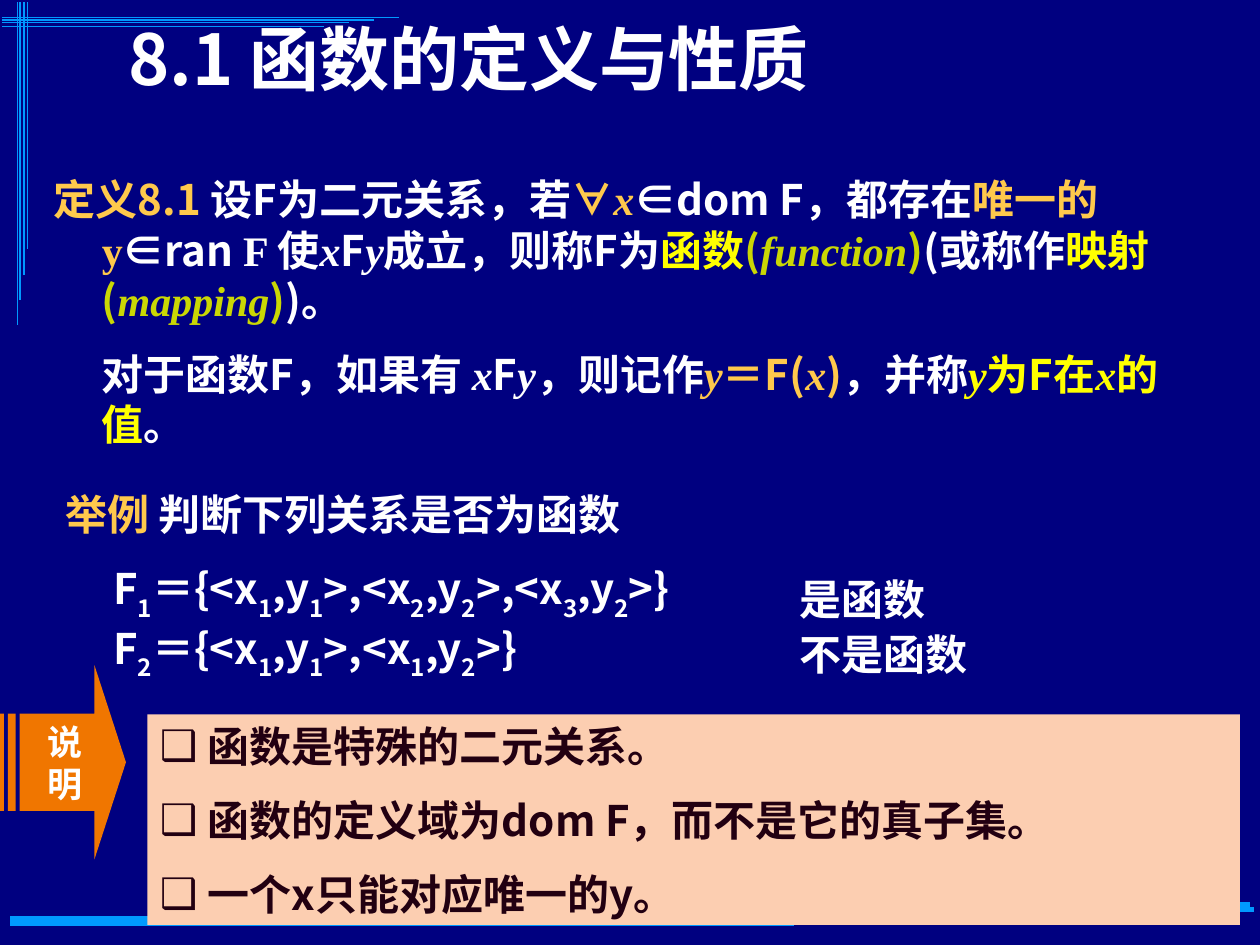
from typing import NamedTuple

from lxml import etree
from pptx import Presentation
from pptx import util as u
from pptx.dml.color import RGBColor
from pptx.enum import shapes, text
from pptx.oxml import parse_xml
from pptx.oxml.ns import nsdecls, qn

SANS, SERIF, ARIAL = "Noto Sans CJK SC", "Times New Roman", "Arial"
WHITE, GOLD, YELLOW, LIME = "FFFFFF", "FFC94C", "FFFF00", "CAD704"
NAVY, SKY, ORANGE, PEACH, PLUM = "000080", "0099FF", "F07600", "FCCEB1", "220011"
HANG = 0.38


class Run(NamedTuple):
    text: str
    color: str = WHITE
    font: str = SANS
    italic: bool = False
    sub: bool = False


class Para(NamedTuple):
    lines: list[list[Run]]
    size: float = 24
    before: float = 0
    left: float = 0
    first: float = 0
    bullet: str = ""
    align: text.PP_ALIGN = text.PP_ALIGN.LEFT


class Rule(NamedTuple):
    x1: float
    y1: float
    x2: float
    y2: float
    width: float


def paint(color_format, value: str) -> None:
    color_format.rgb = RGBColor.from_string(value)


def var(name: str, color: str = WHITE) -> Run:
    return Run(name, color, SERIF, True)


def relation(index: int, pairs: list[tuple[int, int]]) -> list[Run]:
    """F_index = {<x_i,y_j>, ...} with subscripts."""
    def sub(number: int) -> Run:
        return Run(str(number), sub=True)

    runs, lead = [Run("F"), sub(index)], "＝{<x"
    for i, j in pairs:
        runs += [Run(lead), sub(i), Run(",y"), sub(j)]
        lead = ">,<x"
    return runs + [Run(">}")]


def add_run(paragraph, item: Run, size: float) -> None:
    run = paragraph.add_run()
    run.text = item.text
    font = run.font
    font.size, font.bold, font.name = u.Pt(size), True, item.font
    if item.italic:
        font.italic = True
    paint(font.fill.solid() or font.fill.fore_color, item.color)
    props = run.font._element
    if item.sub:
        props.set("baseline", "-30000")
    east = etree.Element(qn("a:ea"), typeface=SANS)
    props.find(qn("a:latin")).addnext(east)


def write(shape, paras: list[Para], anchor=text.MSO_ANCHOR.TOP) -> None:
    frame = shape.text_frame
    frame.word_wrap, frame.vertical_anchor = True, anchor
    for number, para in enumerate(paras):
        paragraph = frame.add_paragraph() if number else frame.paragraphs[0]
        paragraph.alignment = para.align
        paragraph.space_before = u.Pt(para.before)
        props = paragraph._p.get_or_add_pPr()
        props.set("marL", str(u.Inches(para.left)))
        props.set("indent", str(u.Inches(para.first)))
        if para.bullet:
            etree.SubElement(props, qn("a:buFont"), typeface=ARIAL)
            etree.SubElement(props, qn("a:buChar"), char=para.bullet)
        for line_number, line in enumerate(para.lines):
            if line_number:
                paragraph.add_line_break()
            for item in line:
                add_run(paragraph, item, para.size)


def box(at: tuple[float, ...]):
    return slide.shapes.add_textbox(*map(u.Inches, at))


def solid(kind, at: tuple[float, ...], color: str):
    shape = slide.shapes.add_shape(kind, *map(u.Inches, at))
    shape.shadow.inherit = False
    shape.fill.solid()
    paint(shape.fill.fore_color, color)
    shape.line.fill.background()
    return shape


def draw_rule(rule: Rule) -> None:
    line = slide.shapes.add_connector(
        shapes.MSO_CONNECTOR.STRAIGHT, *map(u.Inches, rule[:4]))
    paint(line.line.color, SKY)
    line.line.width = u.Pt(rule.width)
    etree.SubElement(line._element.spPr, qn("a:effectLst"))


deck = Presentation()
deck.slide_width, deck.slide_height = u.Inches(10), u.Inches(7.5)
slide = deck.slides.add_slide(deck.slide_layouts[6])
slide.background.fill.solid()
paint(slide.background.fill.fore_color, NAVY)

# Decorative rules: bottom bands, then the top-left corner
rules = [Rule(0.08, y, 6.3, y, 3) for y in (7.29, 7.33)]
rules += [Rule(6.37, 7.18, 9.92, 7.18, 3), Rule(6.37, 7.22, 9.95, 7.22, 3)]
for step, (y, x) in enumerate(zip((0.14, 0.16, 0.18, 0.21), (0.14, 0.16, 0.19, 0.22))):
    rules.append(Rule(0.02, y, 3.17 - 0.2 * step, y, 0.75))
    rules.append(Rule(x, 0.02, x, 2.58 - 0.2 * step, 0.75))
for rule in rules:
    draw_rule(rule)

# Title with a soft text shadow
title = box((0.92, 0.17, 8.67, 0.67))
write(title, [Para([[Run("8.1 函数的定义与性质")]], size=40)], text.MSO_ANCHOR.BOTTOM)
title_props = title.text_frame.paragraphs[0].runs[0].font._element
title_props.find(qn("a:solidFill")).addnext(parse_xml(
    f'<a:effectLst {nsdecls("a")}><a:outerShdw dist="35921" dir="2700000">'
    '<a:srgbClr val="000000"/></a:outerShdw></a:effectLst>'))

# Definition
definition = [
    Run("定义8.1 ", GOLD), Run("设F为二元关系，若"), Run("∀", GOLD, ARIAL), var("x", GOLD),
    Run("∈dom F，都存在"), Run("唯一的", GOLD), Run("y", GOLD, SERIF), Run("∈ran "),
    Run("F ", font=SERIF), Run("使"), var("x"), Run("F"), var("y"), Run("成立，则称F为"),
    Run("函数", YELLOW), Run("(", LIME), var("function", LIME), Run(")", LIME),
    Run("(或称作"), Run("映射", YELLOW), Run("(", LIME), var("mapping", LIME),
    Run(")", LIME), Run(")。"),
]
notation = [
    Run("对于函数F，如果有 "), var("x"), Run("F"), var("y"), Run("，则记作"),
    var("y", GOLD), Run("＝F(", GOLD), var("x", GOLD), Run(")", GOLD), Run("，并称"),
    var("y", YELLOW), Run("为F在", YELLOW), var("x", YELLOW), Run("的值", YELLOW), Run("。"),
]
write(box((0.33, 1.33, 9.08, 2.5)), [
    Para([definition], left=HANG, first=-HANG),
    Para([notation], before=13.5, left=HANG),
])

# Example and its answers
write(box((0.42, 3.83, 5.67, 1.83)), [
    Para([[Run("举例 ", GOLD), Run("判断下列关系是否为函数")]], left=HANG, first=-HANG),
    Para([relation(1, [(1, 1), (2, 2), (3, 2)]), relation(2, [(1, 1), (1, 2)])],
         before=13.5, left=HANG),
])
write(box((6.25, 4.5, 2.58, 0.94)), [
    Para([[Run("是函数", font=SERIF)]]),
    Para([[Run("不是函数", font=SERIF)]], before=3),
])

# Remarks
arrow = solid(shapes.MSO_SHAPE.STRIPED_RIGHT_ARROW, (0, 5.28, 1, 1.54), ORANGE)
arrow.adjustments[1] = 0.25
write(arrow, [Para([[Run("说明", font=ARIAL)]], size=20, align=text.PP_ALIGN.CENTER)],
      text.MSO_ANCHOR.MIDDLE)
remarks = ["函数是特殊的二元关系。", "函数的定义域为dom F，而不是它的真子集。", "一个x只能对应唯一的y。"]
write(solid(shapes.MSO_SHAPE.RECTANGLE, (1.17, 5.67, 8.67, 1.67), PEACH), [
    Para([[Run(remark, PLUM)]], before=13.5 if number else 0, left=HANG, first=-HANG,
         bullet="❑")
    for number, remark in enumerate(remarks)
])

deck.save("out.pptx")
